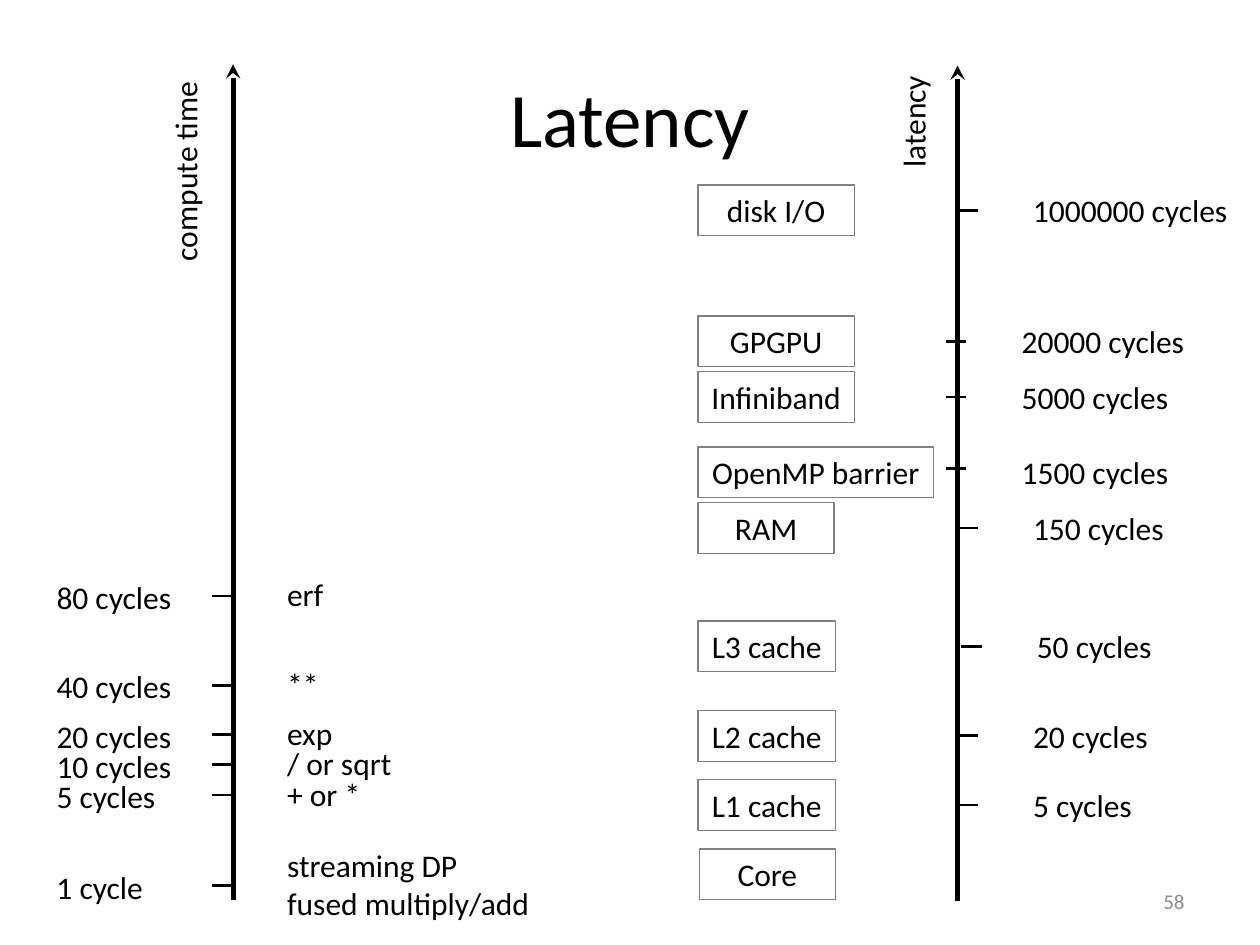
from dataclasses import dataclass
from typing import Optional

import pptx
import pptx.util
import pptx.dml.color
import pptx.enum.shapes
import pptx.enum.text
import pptx.oxml
import pptx.oxml.ns

COLS, ROWS = 100, 75
COLORS = {"ink": "000000", "frame": "808080", "number": "8C8C8C"}
FONT = "Calibri"
LINE_ROWS = 4.04
TICK_COLS = 1.6
AXIS_TEXT = 18
ALIGN = pptx.enum.text.PP_ALIGN
ANCHOR = pptx.enum.text.MSO_ANCHOR

prs = pptx.Presentation()
prs.slide_width = pptx.util.Inches(10)
prs.slide_height = pptx.util.Inches(7.5)
s = prs.slides.add_slide(prs.slide_layouts[6])


@dataclass
class Axis:
    title: str
    col: float
    top: float
    bottom: float
    title_col: float
    title_row: float
    title_width: float


@dataclass
class Latency:
    name: str
    row: float
    name_width: float
    cycles: str = ""
    cycles_width: float = 0
    tick_col: float = 76
    tick_row: Optional[float] = None
    wrap: bool = False
    name_col: float = 55.4


@dataclass
class Compute:
    name: str
    row: float
    name_width: float
    cycles: str
    cycles_width: float


AXES = [
    Axis("latency", 76, 5.2, 71.5, 72.5, 9.6, 9.4),
    Axis("compute time", 18.5, 5.1, 71.4, 14.7, 13.5, 16.4),
]

LATENCIES = [
    Latency("disk I/O", 16.7, 12.4, "1000000 cycles", 17.6, wrap=True),
    Latency("GPGPU", 27.1, 12.4, "20000 cycles", 15.1, 75.1, wrap=True),
    Latency("Infiniband", 31.5, 12.4, "5000 cycles", 13.8, 75.1),
    Latency("OpenMP barrier", 37.5, 18.7, "1500 cycles", 13.8, 75.1, 37.2),
    Latency("RAM", 41.9, 10.8, "150 cycles", 12.5, wrap=True),
    Latency("L3 cache", 51.3, 10.9, "50 cycles", 11.2, 76.3),
    Latency("L2 cache", 58.4, 10.9, "20 cycles", 11.2),
    Latency("L1 cache", 63.9, 10.9, "5 cycles", 9.9),
    Latency("Core", 69.4, 10.8, wrap=True, name_col=55.5),
]

COMPUTES = [
    Compute("erf", 47.3, 4.9, "80 cycles", 11.2),
    Compute("**", 54.4, 4.5, "40 cycles", 11.2),
    Compute("exp", 58.3, 5.7, "20 cycles", 11.2),
    Compute("/ or sqrt", 60.7, 10.4, "10 cycles", 11.2),
    Compute("+ or *", 63.1, 7.9, "5 cycles", 9.9),
    Compute("streaming DP\nfused multiply/add", 70.3, 21.5, "1 cycle", 9),
]


def x(col: float) -> int:
    return round(prs.slide_width * col / COLS)


def y(row: float) -> int:
    return round(prs.slide_height * row / ROWS)


def rgb(name: str) -> pptx.dml.color.RGBColor:
    return pptx.dml.color.RGBColor.from_string(COLORS[name])


def write(sp, text: str, size: float = AXIS_TEXT, color: str = "ink",
          align=ALIGN.LEFT, anchor=ANCHOR.TOP, wrap: bool = False,
          grow: bool = True) -> None:
    tf = sp.text_frame
    tf.word_wrap = wrap
    tf.vertical_anchor = anchor
    if grow:
        tf.auto_size = pptx.enum.text.MSO_AUTO_SIZE.SHAPE_TO_FIT_TEXT
    p = tf.paragraphs[0]
    p.alignment = align
    for i, line in enumerate(text.split("\n")):
        if i:
            p.add_line_break()
        r = p.add_run()
        r.text = line
        r.font.size = pptx.util.Pt(size)
        r.font.name = FONT
        r.font.color.rgb = rgb(color)


def add_label(text: str, col: float, middle: float, width: float,
              height: float = LINE_ROWS, **style):
    sp = s.shapes.add_textbox(x(col), y(middle - height / 2), x(width), y(height))
    write(sp, text, **style)
    return sp


def add_box(item: Latency) -> None:
    sp = s.shapes.add_shape(
        pptx.enum.shapes.MSO_SHAPE.RECTANGLE, x(item.name_col),
        y(item.row - LINE_ROWS / 2), x(item.name_width), y(LINE_ROWS))
    sp.shadow.inherit = False
    sp.fill.background()
    sp.line.color.rgb = rgb("frame")
    sp.line.width = pptx.util.Pt(0.75)
    write(sp, item.name, align=ALIGN.CENTER, wrap=item.wrap)


def add_line(col1: float, row1: float, col2: float, row2: float,
             width: float, arrow: bool = False) -> None:
    sp = s.shapes.add_connector(pptx.enum.shapes.MSO_CONNECTOR.STRAIGHT,
                                x(col1), y(row1), x(col2), y(row2))
    sp.line.color.rgb = rgb("ink")
    sp.line.width = pptx.util.Pt(width)
    if arrow:
        tail = pptx.oxml.parse_xml(
            f'<a:tailEnd {pptx.oxml.ns.nsdecls("a")} type="stealth"/>')
        sp.line._get_or_add_ln().append(tail)
    spPr = sp._element.spPr
    spPr.append(pptx.oxml.parse_xml(f'<a:effectLst {pptx.oxml.ns.nsdecls("a")}/>'))


def add_axis(axis: Axis) -> None:
    add_line(axis.col, axis.bottom, axis.col, axis.top, 2.75, arrow=True)
    sp = add_label(axis.title, axis.title_col - axis.title_width / 2,
                   axis.title_row, axis.title_width)
    sp.rotation = 270


def add_latency(item: Latency) -> None:
    add_box(item)
    if item.cycles:
        add_label(item.cycles, item.tick_col + 5, item.row, item.cycles_width)
        row = item.tick_row or item.row
        add_line(item.tick_col, row, item.tick_col + TICK_COLS, row, 1.5)


def add_compute(item: Compute) -> None:
    lines = item.name.count("\n") + 1
    add_label(item.cycles, 3.5, item.row + 0.1, item.cycles_width)
    add_label(item.name, 21.8, item.row - 0.1, item.name_width,
              LINE_ROWS + 3.03 * (lines - 1))
    add_line(16.8, item.row, 16.8 + TICK_COLS, item.row, 1.5)


add_label("Latency", 5, 9.25, 90, 12.5, size=44, align=ALIGN.CENTER,
          anchor=ANCHOR.MIDDLE, wrap=True, grow=False)
for axis in AXES:
    add_axis(axis)
for item in LATENCIES:
    add_latency(item)
for item in COMPUTES:
    add_compute(item)
add_label("58", 71.7, 71.5, 23.3, 4, size=12, color="number", align=ALIGN.RIGHT,
          anchor=ANCHOR.MIDDLE, wrap=True, grow=False)

prs.save("out.pptx")
